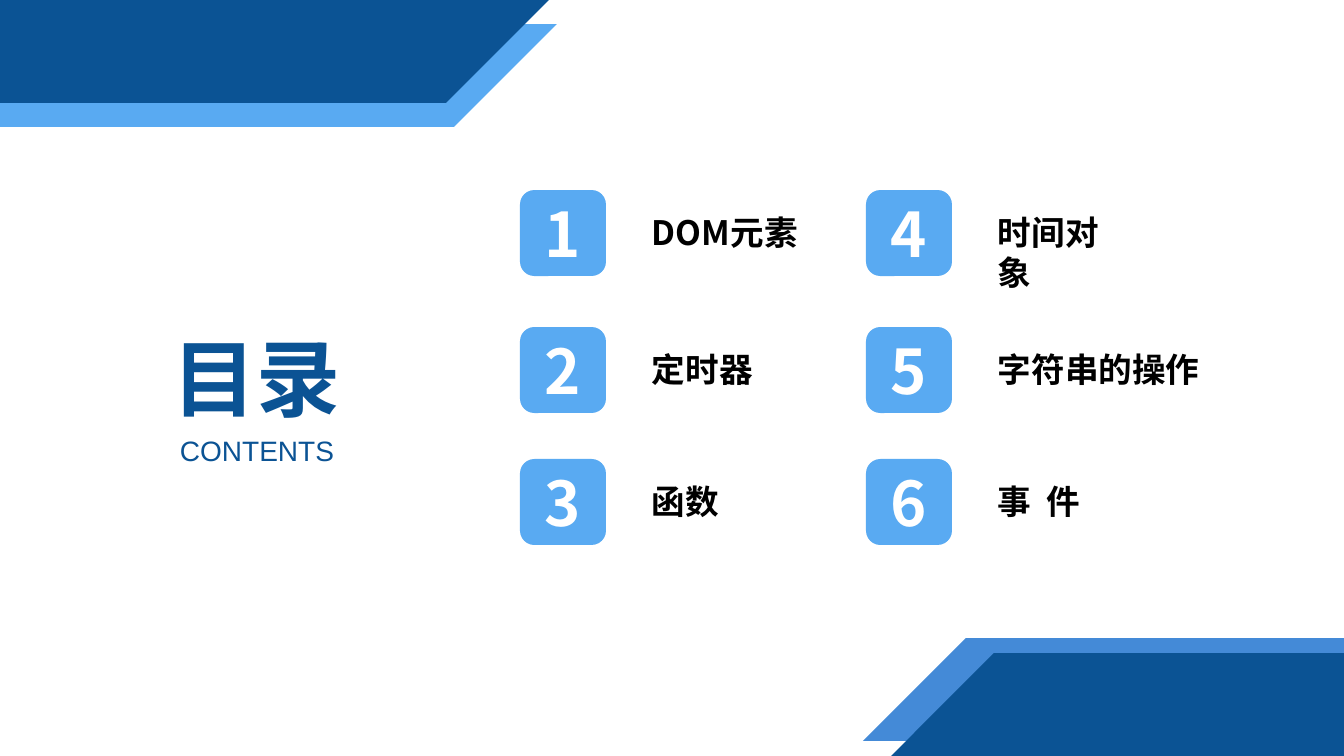
from dataclasses import dataclass

from pptx import Presentation
from pptx import util as u
from pptx.dml.color import RGBColor
from pptx.enum import shapes, text
from pptx.oxml.ns import qn
from lxml import etree

PX = 914400 / 100.8  # EMU in one px


@dataclass(frozen=True)
class Theme:
    navy: str = "0B5394"
    sky: str = "59AAF2"
    mid: str = "448AD7"
    white: str = "FFFFFF"
    black: str = "000000"
    latin: str = "Arial"
    han: str = "Noto Sans CJK SC"
    title: int = 60
    digit: int = 44
    label: int = 24
    sub: int = 20


def emu(*px):
    return [u.Emu(round(n * PX)) for n in px]


def write(frame, words, *, size, color, face, bold=False, center=True, track=0):
    """Fill a text frame with one run; track is letter spacing in points."""
    para = frame.paragraphs[0]
    para.alignment = text.PP_ALIGN.CENTER if center else text.PP_ALIGN.LEFT
    run = para.add_run()
    run.text = words
    font = run.font
    font.size, font.bold, font.name = u.Pt(size), bold, face
    font.color.rgb = RGBColor.from_string(color)
    props = run._r.get_or_add_rPr()
    etree.SubElement(props, qn("a:ea"), typeface=face)
    if track:
        props.set("spc", str(round(track * 100)))


class Deck:
    def __init__(self, theme):
        self.theme = theme
        self.prs = Presentation()
        self.prs.slide_width, self.prs.slide_height = emu(1344, 756)
        self.slide = self.prs.slides.add_slide(self.prs.slide_layouts[6])

    def shape(self, kind, box, fill):
        item = self.slide.shapes.add_shape(kind, *emu(*box))
        item.shadow.inherit = False
        item.fill.solid()
        item.fill.fore_color.rgb = RGBColor.from_string(fill)
        item.line.fill.background()
        return item

    def band(self, left, top, fill):
        kind = shapes.MSO_SHAPE.PARALLELOGRAM
        self.shape(kind, (left, top, 747, 103), fill).adjustments[0] = 1

    def tile(self, left, top, digit):
        kind = shapes.MSO_SHAPE.ROUNDED_RECTANGLE
        frame = self.shape(kind, (left, top, 86, 86), self.theme.sky).text_frame
        frame.vertical_anchor = text.MSO_ANCHOR.MIDDLE
        write(frame, str(digit), size=self.theme.digit, color=self.theme.white,
              face=self.theme.han, bold=True)

    def words(self, box, words, wrap=True, **style):
        frame = self.slide.shapes.add_textbox(*emu(*box)).text_frame
        frame.word_wrap = wrap
        frame.auto_size = text.MSO_AUTO_SIZE.SHAPE_TO_FIT_TEXT
        write(frame, words, **style)

    def topic(self, left, top, digit, name, width, track):
        self.tile(left, top, digit)
        self.words((left + 122, top + 17, width, 50), name, wrap=False,
                   size=self.theme.label, color=self.theme.black,
                   face=self.theme.han, bold=True, center=False, track=track)


TOPICS = [
    ("DOM元素", 176, 0), ("定时器", 121, 0), ("函数", 88, 0),
    ("时间对象", 154, 0), ("字符串的操作", 222, 0), ("事 件", 108, 2.7),
]
COLS = (520, 866)
ROWS = (190, 327, 459)


def main():
    theme = Theme()
    deck = Deck(theme)
    for left, top, fill in [(-190, 24, theme.sky), (-198, 0, theme.navy),
                            (863, 638, theme.mid), (891, 653, theme.navy)]:
        deck.band(left, top, fill)
    deck.words((143, 322, 228, 112), "目录", size=theme.title,
               color=theme.navy, face=theme.latin, bold=True)
    deck.words((143, 429, 228, 44), "CONTENTS", size=theme.sub,
               color=theme.navy, face=theme.latin)
    for i, (name, width, track) in enumerate(TOPICS):
        col, row = divmod(i, len(ROWS))
        deck.topic(COLS[col], ROWS[row], i + 1, name, width, track)
    deck.prs.save("out.pptx")


if __name__ == "__main__":
    main()
